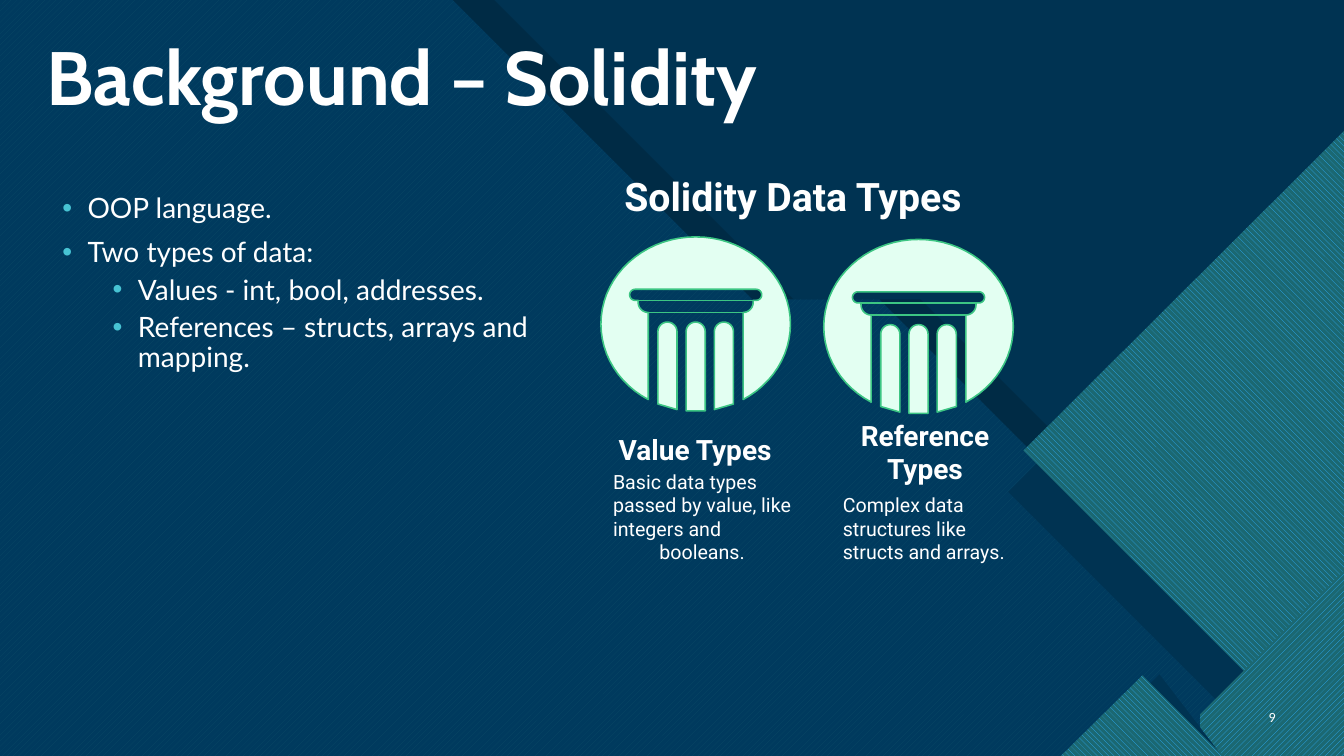
from math import acos, cos, degrees, radians, sin, sqrt

from lxml.etree import SubElement
from pptx import Presentation
from pptx.dml.color import RGBColor
from pptx.enum.dml import MSO_PATTERN as Pattern
from pptx.enum.shapes import MSO_SHAPE as Shape
from pptx.enum.text import MSO_ANCHOR as Anchor, PP_ALIGN as Align
from pptx.oxml.ns import qn
from pptx.util import Inches, Pt

NAVY = RGBColor(0x00, 0x33, 0x52)
BLACK = RGBColor(0x00, 0x00, 0x00)
WHITE = RGBColor(0xFF, 0xFF, 0xFF)
AQUA = RGBColor(0x47, 0xC3, 0xD3)
BLUE = RGBColor(0x00, 0x65, 0xA4)
SKY = RGBColor(0x2F, 0xAF, 0xFF)
TEAL = RGBColor(0x1B, 0x68, 0x72)
MINT = RGBColor(0xE3, 0xFF, 0xF2)
GREEN = RGBColor(0x3C, 0xC5, 0x83)

WIDTH, HEIGHT = 13.33, 7.5
STEP = 2.97


def turn(point, angle):
    x, y = point
    c, s = cos(radians(angle)), sin(radians(angle))
    return x * c - y * s, x * s + y * c


def middle(values):
    return (min(values) + max(values)) / 2


def outline(slide, contours):
    builder = None
    for points, closed in contours:
        (x, y), *rest = [(Inches(px), Inches(py)) for px, py in points]
        if builder is None:
            builder = slide.shapes.build_freeform(x, y, scale=1.0)
        else:
            builder.move_to(x, y)
        builder.add_line_segments(rest, close=closed)
    shape = builder.convert_to_shape()
    shape.shadow.inherit = False
    return shape


def panel(slide, points, color, angle=0, pattern=None, back=None, opacity=100):
    local = [turn(point, -angle) for point in points]
    center = [middle(axis) for axis in zip(*local)]
    target = turn(center, angle)
    dx, dy = target[0] - center[0], target[1] - center[1]
    shape = outline(slide, [([(x + dx, y + dy) for x, y in local], True)])
    shape.rotation = angle
    shape.line.fill.background()
    if pattern is None:
        shape.fill.solid()
        shape.fill.fore_color.rgb = color
    else:
        shape.fill.patterned()
        shape.fill.pattern = pattern
        shape.fill.fore_color.rgb = color
        shape.fill.back_color.rgb = back
    if opacity < 100:
        tint = shape.element.spPr.find(qn("a:solidFill")).find(qn("a:srgbClr"))
        SubElement(tint, qn("a:alpha")).set("val", str(opacity * 1000))


def stepped_band(top, ledge=1.26):
    slope_end = top + STEP + ledge
    fall = min(HEIGHT - STEP, WIDTH - slope_end)
    points = [(0, 0), (top, 0), (top + STEP, STEP), (slope_end, STEP),
              (slope_end + fall, STEP + fall)]
    if STEP + fall < HEIGHT:
        points.append((WIDTH, HEIGHT))
    return points + [(0, HEIGHT)]


def backdrop(slide):
    base = slide.shapes.add_shape(Shape.RECTANGLE, 0, 0, Inches(WIDTH), Inches(HEIGHT))
    base.shadow.inherit = False
    base.fill.solid()
    base.fill.fore_color.rgb = NAVY
    base.line.fill.background()
    up, down = Pattern.WIDE_UPWARD_DIAGONAL, Pattern.WIDE_DOWNWARD_DIAGONAL
    panel(slide, stepped_band(4.9), BLACK)
    panel(slide, stepped_band(4.49), AQUA, 270, up, BLUE)
    panel(slide, stepped_band(6.95), NAVY, opacity=85)
    panel(slide, [(13.33, 1.55), (13.33, 7.08), (12.2, 7.08), (10, 4.88)], NAVY)
    panel(slide, [(13.34, 1.29), (13.34, 7.37), (13.05, 7.37), (10.15, 4.47)],
          SKY, 135, down, TEAL)
    panel(slide, [(13.33, 6.14), (13.33, 7.5), (11.97, 7.5)], NAVY)
    panel(slide, [(13.33, 5.66), (13.33, 7.5), (11.9, 7.5), (11.9, 7.09)],
          SKY, 135, up, TEAL)
    panel(slide, [(12.12, 7.5), (11.5, 6.69), (10.69, 7.5)], NAVY)
    panel(slide, [(10.52, 7.5), (11.33, 6.7), (12.13, 7.5)], SKY, 135, down, TEAL)


def arc(cx, cy, rx, ry, start, end, steps=12):
    angles = [radians(start + (end - start) * i / steps) for i in range(steps + 1)]
    return [(cx + rx * cos(a), cy + ry * sin(a)) for a in angles]


def pillar(slide, cx, cy):
    rx, ry, shaft, neck = 0.94, 0.865, 0.47, 0.57
    cornice_y, cornice_r, neck_y, neck_r = cy - 0.29, 0.055, cy - 0.215, 0.1
    joint_y, shaft_y = cornice_y + cornice_r, neck_y + neck_r
    cut = degrees(acos(shaft / rx))
    medallion = (
        arc(cx + shaft, neck_y, neck_r, neck_r, 90, 0)
        + [(cx + neck, joint_y)]
        + arc(cx + 0.6, cornice_y, cornice_r, cornice_r, 90, -90)
        + arc(cx - 0.6, cornice_y, cornice_r, cornice_r, -90, -270)
        + [(cx - neck, joint_y)]
        + arc(cx - shaft, neck_y, neck_r, neck_r, 180, 90)
        + arc(cx, cy, rx, ry, 180 - cut, 360 + cut, 60))
    contours = [(medallion, True)]
    for offset in (-0.28, 0, 0.28):
        flute = arc(cx + offset, cy + 0.075, 0.095, 0.095, 180, 360)
        feet = [(cx + x, cy + ry * sqrt(1 - (x / rx) ** 2))
                for x in (offset + 0.095, offset - 0.095)]
        contours.append((flute + feet, True))
    for half, y in ((shaft, shaft_y), (neck, joint_y)):
        contours.append(([(cx - half, y), (cx + half, y)], False))
    shape = outline(slide, contours)
    shape.fill.solid()
    shape.fill.fore_color.rgb = MINT
    shape.line.color.rgb = GREEN
    shape.line.width = Pt(1.12)


def text_frame(slide, box, wrap=True, margins=True, anchor=Anchor.TOP):
    frame = slide.shapes.add_textbox(*map(Inches, box)).text_frame
    frame.word_wrap = wrap
    frame.vertical_anchor = anchor
    if not margins:
        frame.margin_left = frame.margin_right = 0
        frame.margin_top = frame.margin_bottom = 0
    return frame


def write(paragraph, text, font, size, bold=False):
    run = paragraph.add_run()
    run.text = text
    run.font.name = font
    run.font.size = Pt(size)
    run.font.bold = bold
    run.font.color.rgb = WHITE


def next_paragraph(frame, index):
    return frame.add_paragraph() if index else frame.paragraphs[0]


def label(slide, box, lines, size, bold=False, lead=Align.CENTER):
    frame = text_frame(slide, box, wrap=False, margins=False)
    for index, line in enumerate(lines):
        paragraph = next_paragraph(frame, index)
        paragraph.alignment = Align.CENTER if line == lines[-1] else lead
        write(paragraph, line, "Roboto", size, bold)


def bullet_list(slide, box, items):
    frame = text_frame(slide, box)
    for index, (level, text) in enumerate(items):
        paragraph = next_paragraph(frame, index)
        properties = paragraph._p.get_or_add_pPr()
        properties.set("marL", str(Inches(0.25 + 0.5 * level)))
        properties.set("indent", str(Inches(-0.25)))
        color = SubElement(properties, qn("a:buClr"))
        SubElement(color, qn("a:srgbClr")).set("val", str(AQUA))
        SubElement(properties, qn("a:buFont")).set("typeface", "Arial")
        SubElement(properties, qn("a:buChar")).set("char", "•")
        paragraph.level = level
        paragraph.line_spacing = 0.9
        if index:
            paragraph.space_before = Pt(5 if level else 10)
        write(paragraph, text, "Lato", 20)


def main():
    deck = Presentation()
    deck.slide_width, deck.slide_height = Inches(WIDTH), Inches(HEIGHT)
    slide = deck.slides.add_slide(deck.slide_layouts[6])
    backdrop(slide)

    title = text_frame(slide, (0.36, 0.32, 11.95, 0.94), anchor=Anchor.BOTTOM).paragraphs[0]
    title.line_spacing = 0.9
    write(title, "Background – Solidity", "Cabin", 54, True)
    number = text_frame(slide, (12.31, 6.91, 0.44, 0.4), anchor=Anchor.MIDDLE).paragraphs[0]
    number.alignment = Align.RIGHT
    write(number, "9", "Calibri", 10)

    bullet_list(slide, (0.52, 1.88, 5.14, 4.24), [
        (0, "OOP language."),
        (0, "Two types of data:"),
        (1, "Values - int, bool, addresses."),
        (1, "References – structs, arrays and mapping.")])

    label(slide, (6.16, 1.71, 3.41, 0.47), ["Solidity Data Types"], 28, True)
    pillar(slide, 6.9, 3.215)
    pillar(slide, 9.11, 3.24)
    label(slide, (6.12, 4.29, 1.55, 0.34), ["Value Types"], 20, True)
    label(slide, (8.53, 4.15, 1.29, 0.67), ["Reference", "Types"], 20, True)
    label(slide, (6.08, 4.66, 1.78, 0.94),
          ["Basic data types", "passed by value, like", "integers and", "booleans."],
          14, lead=Align.LEFT)
    label(slide, (8.36, 4.89, 1.63, 0.71),
          ["Complex data", "structures like", "structs and arrays."], 14, lead=Align.LEFT)
    deck.save("out.pptx")


if __name__ == "__main__":
    main()
